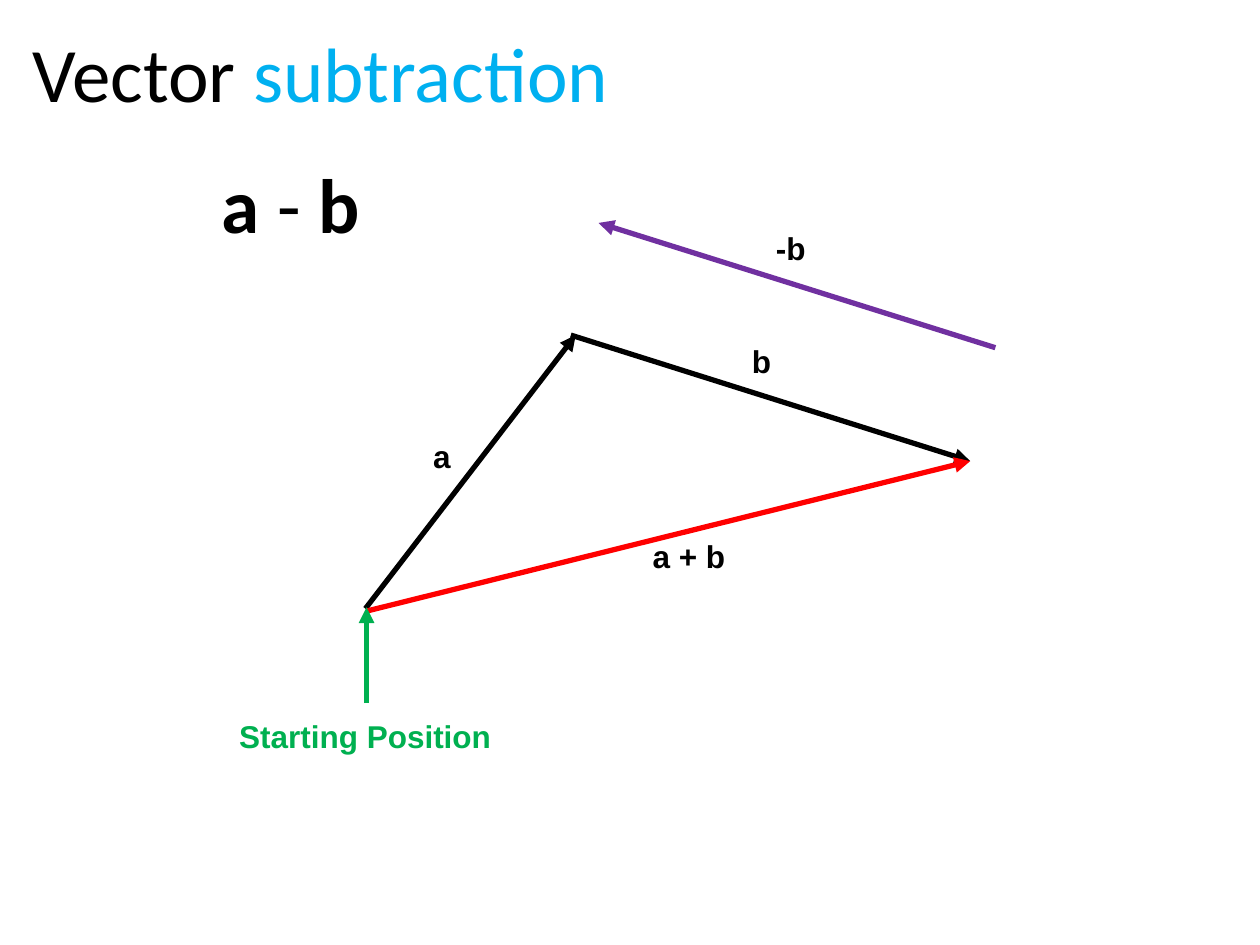
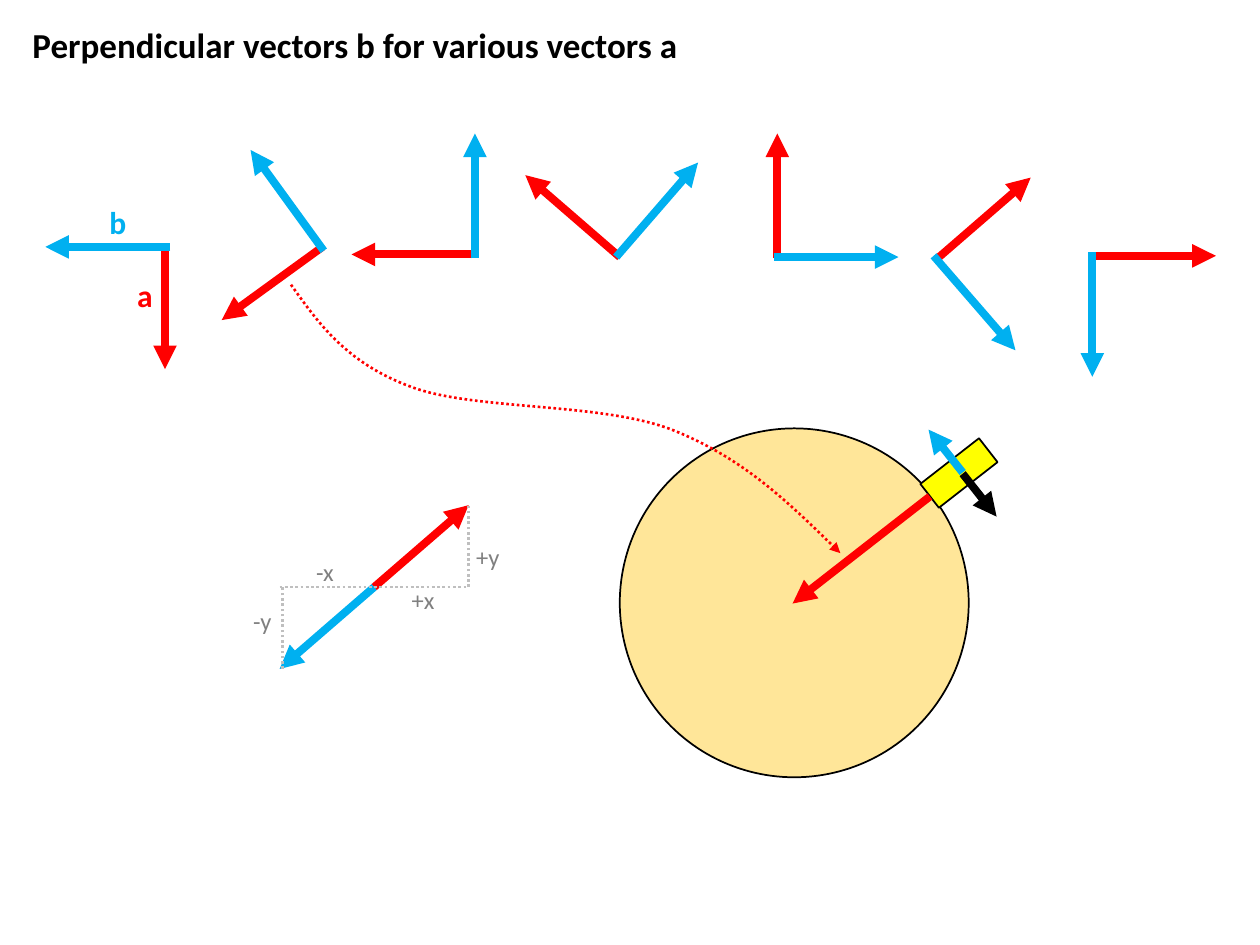
from lxml.etree import SubElement
from pptx import Presentation
from pptx.dml.color import RGBColor
from pptx.enum.dml import MSO_LINE
from pptx.enum.shapes import MSO_CONNECTOR, MSO_SHAPE
from pptx.enum.text import MSO_AUTO_SIZE as AutoSize
from pptx.oxml.ns import qn
from pptx.util import Pt

COLORS = {
    "black": "000000", "red": "FF0000", "blue": "00B0F0", "green": "00B050",
    "purple": "7030A0", "silver": "BFBFBF", "gray": "808080",
    "sand": "FFE699", "yellow": "FFFF00",
}


def rgb(name):
    return RGBColor.from_string(COLORS[name])


def shift(point, step):
    return point[0] + step[0], point[1] + step[1]


class VectorDeck:
    """Holds the drawing style and the current slide."""

    def __init__(self):
        self.deck = Presentation()
        self.deck.slide_width, self.deck.slide_height = Pt(720), Pt(540)
        self.page = None

    def new_page(self):
        self.page = self.deck.slides.add_slide(self.deck.slide_layouts[6])

    def text(self, left, top, width, height, spans, size,
             font="Calibri", wrap=False):
        """Spans are (text, color, bold) tuples on one line."""
        box = self.page.shapes.add_textbox(
            Pt(left), Pt(top), Pt(width), Pt(height))
        frame = box.text_frame
        frame.word_wrap = wrap
        frame.auto_size = AutoSize.SHAPE_TO_FIT_TEXT
        for words, color, bold in spans:
            span = frame.paragraphs[0].add_run()
            span.text = words
            span.font.name, span.font.size = font, Pt(size)
            span.font.bold = bold
            span.font.color.rgb = rgb(color)

    def label(self, left, top, width, words, color="black", height=36):
        self.text(left, top, width, height, [(words, color, True)], 18, "Arial")

    def style_line(self, shape, color, weight, dotted=False, arrow=False):
        shape.line.color.rgb = rgb(color)
        shape.line.width = Pt(weight)
        if dotted:
            shape.line.dash_style = MSO_LINE.ROUND_DOT
        if arrow:
            outline = shape._element.spPr.find(qn("a:ln"))
            SubElement(outline, qn("a:tailEnd"), type="triangle")

    def line(self, start, end, color, weight, dotted=False, arrow=False):
        line = self.page.shapes.add_connector(
            MSO_CONNECTOR.STRAIGHT, *map(Pt, (*start, *end)))
        self.style_line(line, color, weight, dotted, arrow)
        SubElement(line._element.spPr, qn("a:effectLst"))

    def arrow(self, start, end, color, weight=4.5):
        self.line(start, end, color, weight, arrow=True)

    def shape(self, kind, left, top, width, height, fill, rotation=0):
        shape = self.page.shapes.add_shape(
            kind, Pt(left), Pt(top), Pt(width), Pt(height))
        shape.shadow.inherit = False
        shape.rotation = rotation
        shape.fill.solid()
        shape.fill.fore_color.rgb = rgb(fill)
        self.style_line(shape, "black", 1)

    def curve(self, start, controls, color, weight):
        """Dotted arrow along cubic curves, three control points each."""
        builder = self.page.shapes.build_freeform(*map(Pt, start))
        builder.add_line_segments(
            [(Pt(x), Pt(y)) for x, y in controls], close=False)
        curve = builder.convert_to_shape()
        curve.shadow.inherit = False
        curve.fill.background()
        self.style_line(curve, color, weight, dotted=True, arrow=True)
        # Turn each three straight segments into one cubic segment
        outline = next(curve._element.iter(qn("a:path")))
        segments = outline.findall(qn("a:lnTo"))
        for first in range(0, len(segments), 3):
            cubic = SubElement(outline, qn("a:cubicBezTo"))
            for segment in segments[first:first + 3]:
                cubic.append(segment[0])
                outline.remove(segment)


def subtraction_page(art):
    art.new_page()
    art.text(119.5, 85.7, 94.3, 60.5, [
        ("a ", "black", True), ("-", "black", False), (" b", "black", True)], 44)

    # Triangle of a, b and their sum
    tip = (554.4, 263.5)
    art.arrow((326.2, 191.5), tip, "black", 3)
    art.label(422.6, 192.2, 28.1, "b")
    art.arrow((208.8, 347.8), (329, 191.5), "black", 3)
    art.label(240.5, 246.2, 26.6, "a")
    art.arrow((209.5, 349.2), tip, "red", 3)
    art.label(365.8, 303.1, 65.5, "a + b")

    # Starting point and negated b
    art.arrow((209.5, 401.8), (209.5, 347), "green", 3)
    art.label(129.6, 406.1, 159.8, "Starting Position", "green", 28.8)
    art.arrow((568.8, 198.7), (342, 127.4), "purple", 3)
    art.label(436.3, 127.4, 31.7, "-b", height=28.8)

    art.text(11.5, 10.8, 347.8, 60.5, [
        ("Vector", "black", False), (" subtraction", "blue", False)], 44)


def perpendicular_page(art):
    art.new_page()
    art.text(11.5, 10.1, 386.6, 31.7, [
        ("Perpendicular vectors b for various vectors a", "black", True)],
        20, wrap=True)

    # Start of a, start of b, vector a; b is a turned by 90 degrees
    pairs = [
        ((94.3, 139.7), (97.2, 141.1), (0, 71.3)),
        ((184.3, 141.1), (185, 143.3), (-57.6, 41.8)),
        ((272.2, 145.4), (271.4, 147.6), (-71.3, 0)),
        ((354.2, 146.9), (352.1, 146.9), (-54, -46.8)),
        ((444.2, 147.6), (442.1, 146.9), (0, -71.3)),
        ((535, 148.3), (533.5, 146.2), (54, -46.8)),
        ((623.5, 146.2), (624.2, 144), (71.3, 0)),
    ]
    for a_start, b_start, (dx, dy) in pairs:
        art.arrow(a_start, shift(a_start, (dx, dy)), "red")
        art.arrow(b_start, shift(b_start, (-dy, dx)), "blue")
    for name, color, left, top in [("a", "red", 71.3, 154.1),
                                   ("b", "blue", 55.4, 112.3)]:
        art.text(left, top, 25.2, 28.8, [(name, color, True)], 18, wrap=True)

    # Opposite vectors with their x and y parts
    origin = (213.8, 335.5)
    dx, dy = 54, 46.8
    art.arrow(origin, shift(origin, (dx, -dy)), "red")
    art.arrow(origin, shift(origin, (-dx, dy)), "blue")
    parts = [
        ("+x", (0, 0), (dx, 0), 228.2, 330.5, 28.1),
        ("+y", (dx, 0), (dx, -dy), 265, 306, 28.1),
        ("-x", (-dx, 0), (0, 0), 173.5, 314.6, 25.2),
        ("-y", (-52.5, dy), (-52.5, 0), 137.5, 342.7, 25.2),
    ]
    for name, start, end, left, top, width in parts:
        art.line(shift(origin, start), shift(origin, end), "silver", 1.5,
                 dotted=True)
        art.text(left, top, width, 24.5, [(name, "gray", False)], 14)

    # Block on the rim of the disc
    art.shape(MSO_SHAPE.OVAL, 354.2, 244.8, 199.4, 199.4, "sand")
    art.shape(MSO_SHAPE.RECTANGLE, 539.3, 249.1, 17.3, 42.5, "yellow", 52.1)
    art.arrow((531.4, 283.7), (452.9, 344.9), "red")
    art.arrow((550.1, 270.7), (569.5, 295.2), "black")
    art.arrow((550.1, 270), (530.6, 245.5), "blue")

    # Link from the second pair to the disc
    art.curve((166.3, 162.7), [
        (182.2, 185), (198, 207.4), (234.7, 221),
        (270.7, 234.7), (342.7, 229.7), (383.8, 245.5),
        (424.1, 261.4), (452.2, 288.7), (480.2, 316.1)], "red", 1.5)


def main():
    art = VectorDeck()
    subtraction_page(art)
    perpendicular_page(art)
    art.deck.save("out.pptx")


if __name__ == "__main__":
    main()
